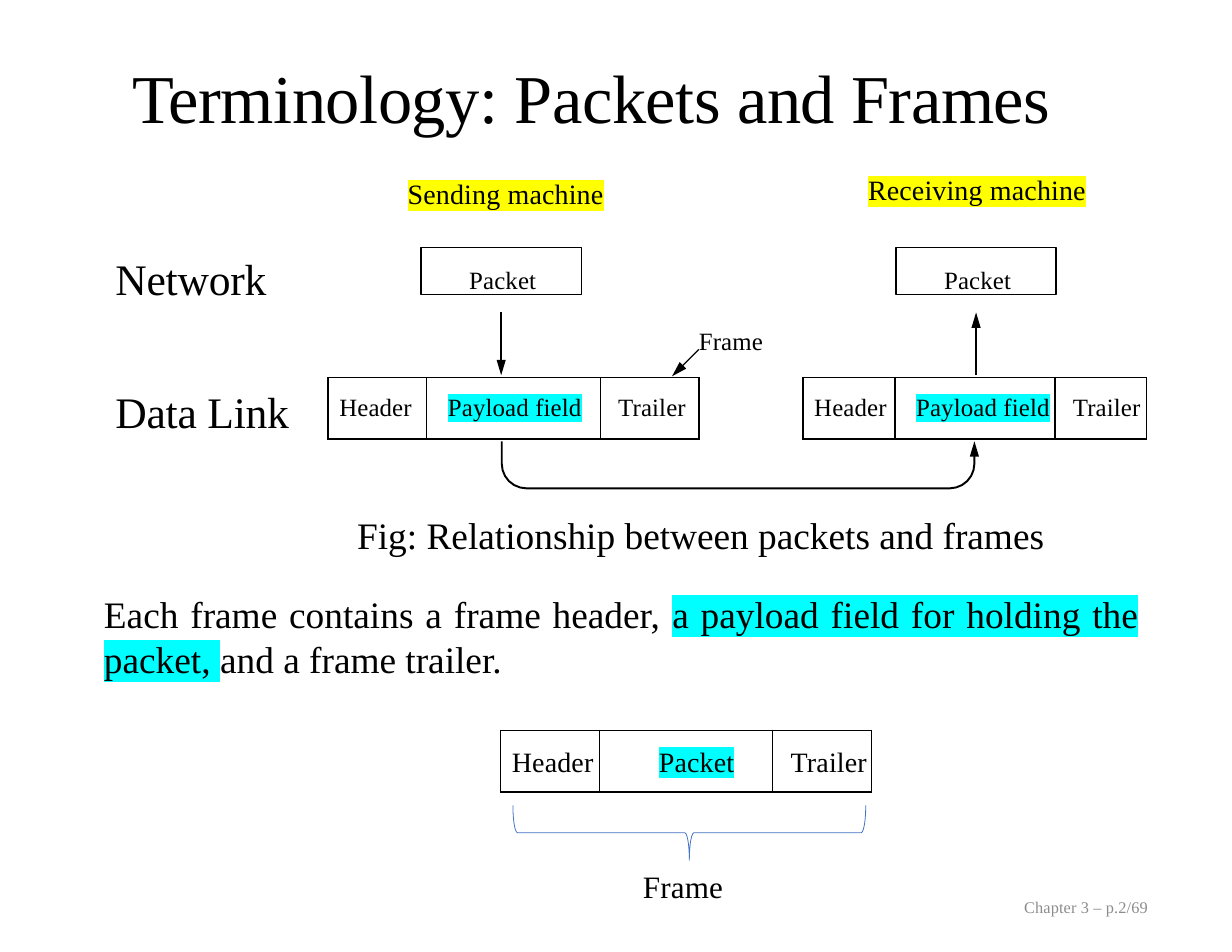
from dataclasses import dataclass
from math import cos, pi, sin

from lxml.etree import SubElement
from pptx import Presentation
from pptx.dml.color import RGBColor
from pptx.enum.shapes import MSO_CONNECTOR, MSO_SHAPE
from pptx.enum.text import MSO_ANCHOR, PP_ALIGN
from pptx.oxml import parse_xml
from pptx.oxml.ns import nsdecls, qn
from pptx.util import Inches, Pt


@dataclass(frozen=True)
class Theme:
    font: str = "Times New Roman"
    ink: str = "000000"
    muted: str = "8C8C8C"
    brace: str = "4472C4"
    yellow: str = "FFFF00"
    cyan: str = "00FFFF"
    title: float = 44
    layer: float = 28
    body: float = 24
    caption: float = 20
    label: float = 18
    small: float = 16
    footer: float = 10.5
    arrow_line: float = 1.25
    thin_line: float = 0.83


@dataclass(frozen=True)
class Box:
    left: float
    top: float
    width: float
    height: float

    def inner(self, left, top, width, height):
        return Box(self.left + left, self.top + top, width, height)

    def lengths(self):
        return [Inches(value) for value in (self.left, self.top, self.width, self.height)]


THEME = Theme()


def write(para, spans, size, color=THEME.ink, spacing=0.0):
    """Fill a paragraph with (text, highlight) spans; spacing is in points."""
    for text, highlight in spans:
        span = para.add_run()
        span.text = text
        span.font.size = Pt(size)
        span.font.color.rgb = RGBColor.from_string(color)
        properties = span._r.get_or_add_rPr()
        properties.set("spc", str(round(spacing * 100)))
        if highlight:
            marker = SubElement(properties, qn("a:highlight"))
            SubElement(marker, qn("a:srgbClr")).set("val", highlight)
        span.font.name = THEME.font


def set_margins(holder, left, top, right=0, bottom=0):
    holder.margin_left, holder.margin_top = Inches(left), Inches(top)
    holder.margin_right, holder.margin_bottom = Inches(right), Inches(bottom)


def add_text(page, box, spans, size, color=THEME.ink, spacing=0.0, margins=(0.01, 0.02),
             align=PP_ALIGN.LEFT, anchor=MSO_ANCHOR.TOP, wrap=True):
    frame = page.shapes.add_textbox(*box.lengths()).text_frame
    frame.word_wrap = wrap
    frame.vertical_anchor = anchor
    set_margins(frame, *margins)
    frame.paragraphs[0].alignment = align
    write(frame.paragraphs[0], spans, size, color, spacing)


def style_line(shape, arrow=False, width=THEME.thin_line, color=THEME.ink):
    shape.line.color.rgb = RGBColor.from_string(color)
    shape.line.width = Pt(width)
    if arrow:
        head = SubElement(shape.line._get_or_add_ln(), qn("a:tailEnd"))
        for name, value in (("type", "triangle"), ("w", "med"), ("len", "lg")):
            head.set(name, value)


def add_arrow(page, start, end, width=THEME.arrow_line):
    points = [Inches(value) for value in (*start, *end)]
    arrow = page.shapes.add_connector(MSO_CONNECTOR.STRAIGHT, *points)
    style_line(arrow, True, width)
    SubElement(arrow._element.spPr, qn("a:effectLst"))


def add_outline(page, preset, box, width=THEME.thin_line, color=THEME.ink):
    shape = page.shapes.add_shape(preset, *box.lengths())
    shape.shadow.inherit = False
    shape.fill.background()
    style_line(shape, width=width, color=color)
    return shape


def add_border(cell):
    properties = cell._tc.get_or_add_tcPr()
    for index, side in enumerate(("lnL", "lnR", "lnT", "lnB")):
        properties.insert(index, parse_xml(
            f'<a:{side} {nsdecls("a")} w="{Pt(1)}"><a:solidFill>'
            f'<a:srgbClr val="{THEME.ink}"/></a:solidFill></a:{side}>'))


def frame_table(page, box, side_width, payload, size, payload_align=PP_ALIGN.LEFT):
    """Header, payload and trailer in one row; the two outer cells share a width."""
    table = page.shapes.add_table(1, 3, *box.lengths()).table
    table.first_row = table.horz_banding = False
    table.rows[0].height = Inches(box.height)
    widths = (side_width, box.width - 2 * side_width, side_width)
    fields = (("Header", None, 0.1), (payload, THEME.cyan, 0.19), ("Trailer", None, 0.16))
    for index, (text, highlight, indent) in enumerate(fields):
        table.columns[index].width = Inches(widths[index])
        cell = table.cell(0, index)
        cell.fill.background()
        add_border(cell)
        set_margins(cell, indent, 0.15)
        write(cell.text_frame.paragraphs[0], [(text, highlight)], size, spacing=0.1)
    table.cell(0, 1).text_frame.paragraphs[0].alignment = payload_align


def machine(page, box, name, name_at, packet_left, side_width, sending):
    """One machine: its name, packet, frame and the arrow between them."""
    add_text(page, box.inner(*name_at, 2.18, 0.32), [(name, THEME.yellow)],
             THEME.label, spacing=0.1)
    packet = add_outline(page, MSO_SHAPE.RECTANGLE, box.inner(packet_left, 0.69, 1.43, 0.42))
    packet.text_frame.vertical_anchor = MSO_ANCHOR.TOP
    set_margins(packet.text_frame, 0.43, 0.15)
    para = packet.text_frame.paragraphs[0]
    para.alignment = PP_ALIGN.LEFT
    write(para, [("Packet", None)], THEME.small, spacing=0.1)
    frame_table(page, box.inner(0, 1.85, box.width, 0.55), side_width,
                "Payload field", THEME.small)
    middle = box.left + packet_left + 1.43 / 2
    ends = [(middle, box.top + 1.27), (middle, box.top + 1.83)]
    add_arrow(page, *(ends if sending else reversed(ends)))


def transfer_arrow(page, box):
    """A U-shaped arrow with rounded lower corners, from top left to top right."""
    radius, steps = 0.22, 6
    right, bottom = box.left + box.width, box.top + box.height
    points = [(box.left, box.top)]
    for center, first in ((box.left + radius, pi), (right - radius, pi / 2)):
        for step in range(steps + 1):
            angle = first - step * pi / 2 / steps
            points.append((center + radius * cos(angle), bottom - radius + radius * sin(angle)))
    points.append((right, box.top))
    points = [(Inches(x), Inches(y)) for x, y in points]
    builder = page.shapes.build_freeform(*points[0])
    builder.add_line_segments(points[1:], close=False)
    route = builder.convert_to_shape()
    route.shadow.inherit = False
    route.fill.background()
    style_line(route, True, THEME.arrow_line)


def relationship_figure(page, box):
    for top, layer in ((0.72, "Network"), (1.91, "Data Link")):
        add_text(page, box.inner(0, top, 1.8, 0.48), [(layer, None)],
                 THEME.layer, spacing=-0.1, margins=(0.01, 0.01))
    machine(page, box.inner(1.91, 0, 3.31, 2.4), "Sending machine", (0.7, 0.04), 0.83, 0.88, True)
    machine(page, box.inner(6.15, 0, 3.07, 2.4), "Receiving machine", (0.57, 0), 0.83, 0.82, False)
    add_text(page, box.inner(5.21, 1.37, 0.73, 0.29), [("Frame", None)], THEME.small, spacing=0.1)
    add_arrow(page, (box.left + 5.22, box.top + 1.6), (box.left + 4.98, box.top + 1.84),
              THEME.thin_line)
    transfer_arrow(page, box.inner(3.46, 2.42, 4.22, 0.42))
    add_text(page, box.inner(2.07, 3, 6.39, 0.5),
             [("Fig: Relationship between packets and frames", None)],
             THEME.body, margins=(0.1, 0.05, 0.1, 0.05), wrap=False)


def frame_summary(page, box):
    frame_table(page, box.inner(0, 0, box.width, 0.55), 0.88, "Packet",
                THEME.label, PP_ALIGN.CENTER)
    brace = add_outline(page, MSO_SHAPE.LEFT_BRACE, box.inner(1.44, -0.66, 0.49, 3.15),
                        0.5, THEME.brace)
    brace.rotation = 270
    add_text(page, box.inner(1.26, 1.2, 1.24, 0.35), [("Frame", None)],
             THEME.caption, spacing=0.1)


def main():
    deck = Presentation()
    deck.slide_width, deck.slide_height = Inches(11), Inches(8.5)
    page = deck.slides.add_slide(deck.slide_layouts[6])
    add_text(page, Box(1.17, 0.47, 9.08, 0.76), [("Terminology: Packets and Frames", None)],
             THEME.title, spacing=-0.3, margins=(0.01, 0.01), anchor=MSO_ANCHOR.MIDDLE)
    relationship_figure(page, Box(1.02, 1.52, 9.22, 3.5))
    add_text(page, Box(0.83, 5.23, 9.43, 0.91),
             [("Each frame contains a frame header, ", None),
              ("a payload field for holding the packet, ", THEME.cyan),
              ("and a frame trailer.", None)],
             THEME.body, margins=(0.1, 0.05, 0.1, 0.05), align=PP_ALIGN.JUSTIFY)
    frame_summary(page, Box(4.47, 6.52, 3.31, 1.55))
    add_text(page, Box(7.77, 8.01, 2.48, 0.18), [("Chapter 3 – p.2/69", None)],
             THEME.footer, THEME.muted, 0.1, margins=(0, 0),
             align=PP_ALIGN.RIGHT, anchor=MSO_ANCHOR.MIDDLE)
    deck.save("out.pptx")


if __name__ == "__main__":
    main()
